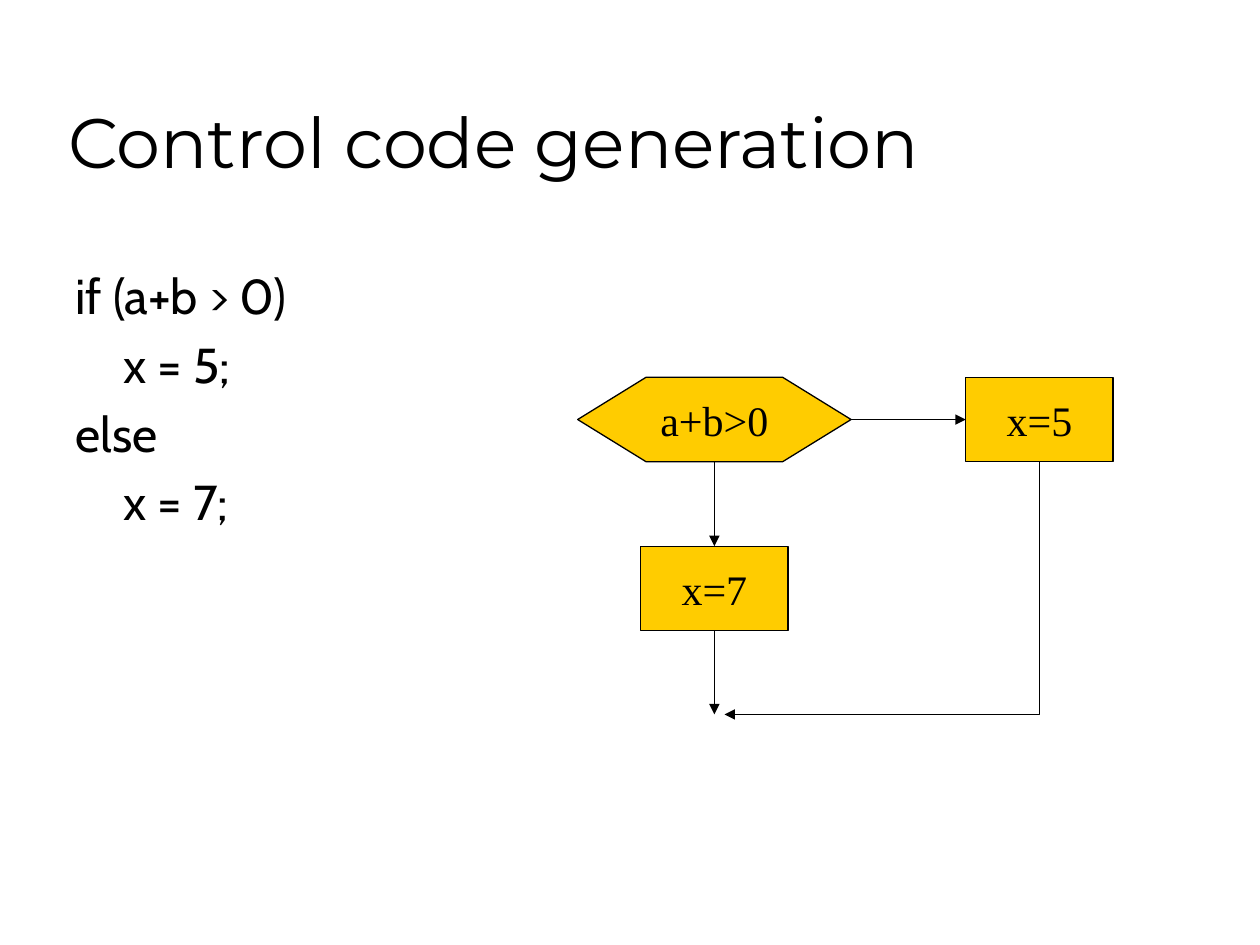
from pptx import Presentation
from pptx.dml.color import RGBColor
from pptx.enum.shapes import MSO_CONNECTOR, MSO_SHAPE
from pptx.enum.text import MSO_ANCHOR, MSO_AUTO_SIZE, PP_ALIGN
from pptx.oxml.ns import qn
from pptx.util import Inches, Pt
from lxml import etree

STRAIGHT, ELBOW = MSO_CONNECTOR.STRAIGHT, MSO_CONNECTOR.ELBOW
HEXAGON, RECTANGLE = MSO_SHAPE.HEXAGON, MSO_SHAPE.RECTANGLE
TOP, MIDDLE, BOTTOM = MSO_ANCHOR.TOP, MSO_ANCHOR.MIDDLE, MSO_ANCHOR.BOTTOM
LEFT, CENTER = PP_ALIGN.LEFT, PP_ALIGN.CENTER
NO_AUTOFIT = MSO_AUTO_SIZE.NONE

BLACK = RGBColor(0x00, 0x00, 0x00)
GOLD = RGBColor(0xFF, 0xCC, 0x00)

CODE_LINES = ["if (a+b > 0)", "\tx = 5;", "else", "\tx = 7;"]

NODE_HEIGHT = 0.67
STEP_WIDTH = 1.17
TEST_WIDTH = 2.17
MAIN_X, BRANCH_X = 5.67, 8.25
TEST_Y, ELSE_Y = 3.33, 4.67
JOIN_Y = 5.67


def add_text(para, text, font_name, size):
    span = para.add_run()
    span.text = text
    span.font.name = font_name
    span.font.size = Pt(size)
    span.font.color.rgb = BLACK


def place(box, left, top, width, height, anchor):
    box.left, box.top = Inches(left), Inches(top)
    box.width, box.height = Inches(width), Inches(height)
    box.text_frame.auto_size = NO_AUTOFIT
    box.text_frame.vertical_anchor = anchor


def fill_title(title):
    place(title, 0.44, 0.25, 8.5, 1.25, BOTTOM)
    para = title.text_frame.paragraphs[0]
    para.alignment = LEFT
    add_text(para, "Control code generation", "Montserrat", 40)


def fill_code(body):
    place(body, 0.5, 2.06, 4.39, 4.56, TOP)
    frame = body.text_frame
    for index, line in enumerate(CODE_LINES):
        para = frame.add_paragraph() if index else frame.paragraphs[0]
        properties = para._p.get_or_add_pPr()
        properties.set("marL", str(Inches(0.38)))
        properties.set("indent", str(Inches(-0.38)))
        etree.SubElement(properties, qn("a:buNone"))
        para.space_before = Pt(5.6 if index else 0)
        add_text(para, line, "Cabin", 28)


def add_node(page, kind, center_x, center_y, width, text):
    node = page.shapes.add_shape(
        kind, Inches(center_x - width / 2), Inches(center_y - NODE_HEIGHT / 2),
        Inches(width), Inches(NODE_HEIGHT))
    node.shadow.inherit = False
    node.fill.solid()
    node.fill.fore_color.rgb = GOLD
    node.line.color.rgb = BLACK
    node.line.width = Pt(0.75)
    frame = node.text_frame
    frame.word_wrap = False
    frame.vertical_anchor = MIDDLE
    frame.paragraphs[0].alignment = CENTER
    add_text(frame.paragraphs[0], text, "Times New Roman", 24)
    return node


def add_arrow(page, start, end, kind=STRAIGHT):
    arrow = page.shapes.add_connector(
        kind, *(Inches(value) for value in (*start, *end)))
    arrow.line.color.rgb = BLACK
    arrow.line.width = Pt(0.75)
    etree.SubElement(arrow.line._get_or_add_ln(), qn("a:tailEnd"), type="triangle")
    etree.SubElement(arrow._element.spPr, qn("a:effectLst"))
    return arrow


def add_down_left_arrow(page, start, end):
    """Draw a one-bend arrow: a two-part elbow turned by 90 degrees."""
    center_x, center_y = (start[0] + end[0]) / 2, (start[1] + end[1]) / 2
    half_run, half_drop = (start[0] - end[0]) / 2, (end[1] - start[1]) / 2
    arrow = add_arrow(page, (center_x - half_drop, center_y - half_run),
                      (center_x + half_drop, center_y + half_run), ELBOW)
    properties = arrow._element.spPr
    properties.find(qn("a:xfrm")).set("rot", str(90 * 60000))
    properties.find(qn("a:prstGeom")).set("prst", "bentConnector2")


def add_flowchart(page):
    half = NODE_HEIGHT / 2
    test = add_node(page, HEXAGON, MAIN_X, TEST_Y, TEST_WIDTH, "a+b>0")
    test.adjustments[0] = 0.81
    add_node(page, RECTANGLE, BRANCH_X, TEST_Y, STEP_WIDTH, "x=5")
    add_node(page, RECTANGLE, MAIN_X, ELSE_Y, STEP_WIDTH, "x=7")

    add_arrow(page, (MAIN_X + TEST_WIDTH / 2, TEST_Y),
              (BRANCH_X - STEP_WIDTH / 2, TEST_Y))
    add_arrow(page, (MAIN_X, TEST_Y + half), (MAIN_X, ELSE_Y - half))
    add_arrow(page, (MAIN_X, ELSE_Y + half), (MAIN_X, JOIN_Y))
    add_down_left_arrow(page, (BRANCH_X, TEST_Y + half), (5.75, JOIN_Y))


def main():
    deck = Presentation()
    deck.slide_width, deck.slide_height = Inches(10), Inches(7.5)
    page = deck.slides.add_slide(deck.slide_layouts[1])
    fill_title(page.shapes.title)
    fill_code(page.placeholders[1])
    add_flowchart(page)
    deck.save("out.pptx")


if __name__ == "__main__":
    main()
